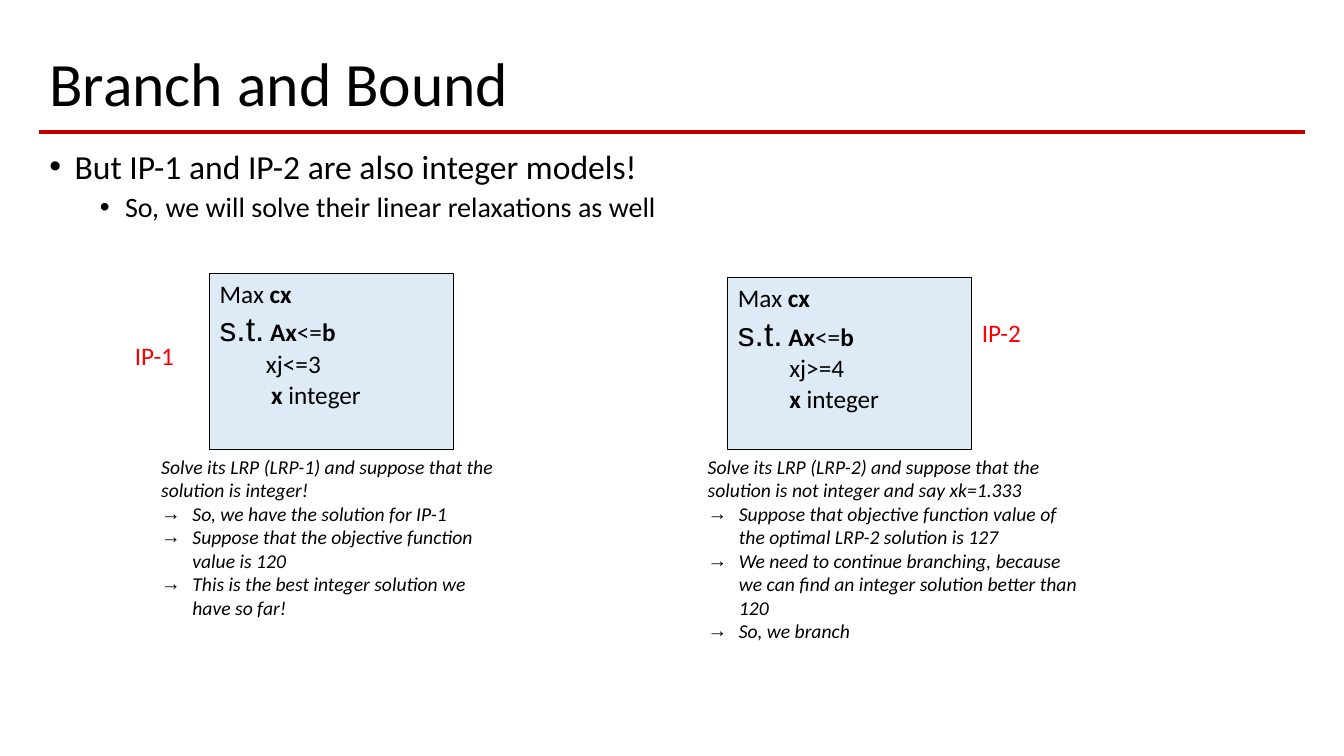
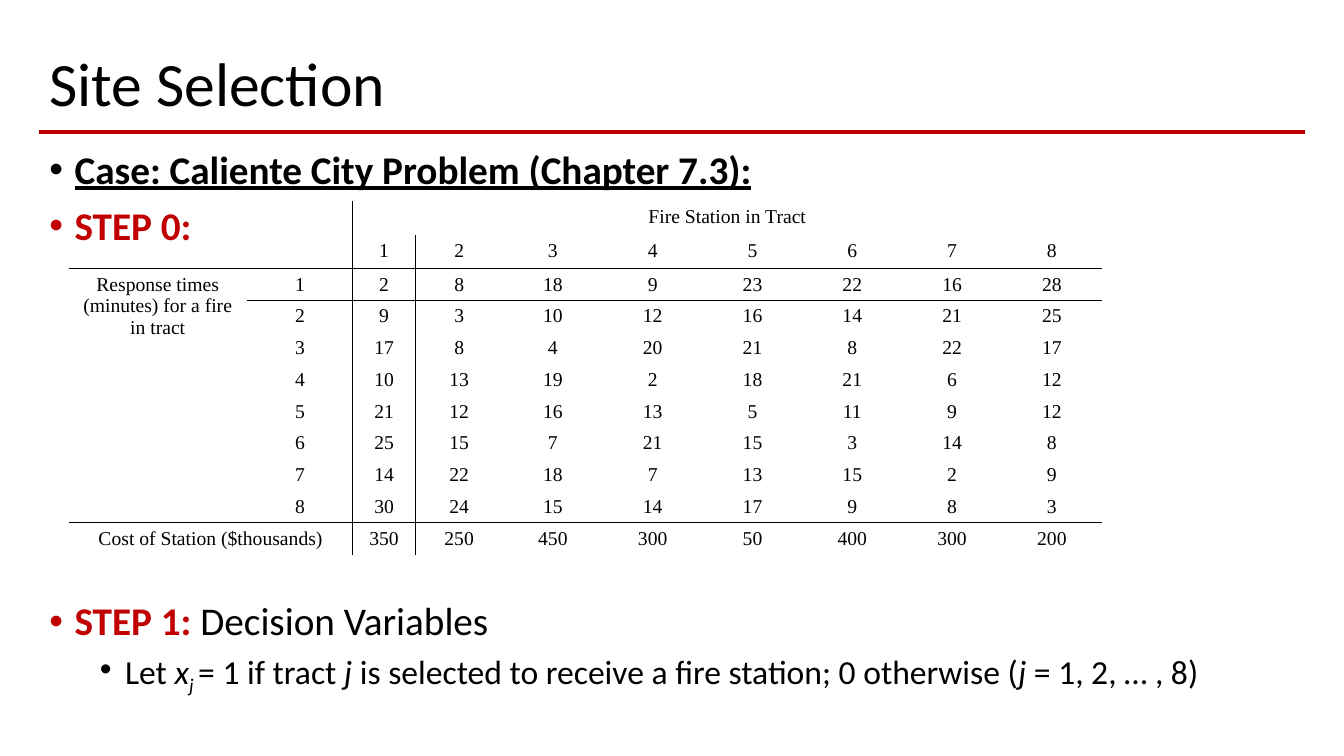
import pptx
import pptx.dml.color
import pptx.enum.shapes
import pptx.enum.text
import pptx.oxml.ns
import pptx.util
from lxml import etree

Inches = pptx.util.Inches
RGBColor = pptx.dml.color.RGBColor
Anchor = pptx.enum.text.MSO_ANCHOR
AutoSize = pptx.enum.text.MSO_AUTO_SIZE
Align = pptx.enum.text.PP_ALIGN
qn = pptx.oxml.ns.qn

BLACK = RGBColor(0x00, 0x00, 0x00)
DARK_RED = RGBColor(0xC0, 0x00, 0x00)
LABEL_RED = RGBColor(0xFF, 0x00, 0x00)
PALE_BLUE = RGBColor(0xDE, 0xEB, 0xF7)
NO_GRID_STYLE = "{2D5ABB26-0587-4C30-8999-92F81FD0307C}"

MARGIN, CONTENT_WIDTH = 0.39, 12.55
STEP_STYLE = {"bold": True, "color": DARK_RED}
ITALIC = {"italic": True}
BOLD = {"bold": True}

COLUMN_WIDTHS = [1.77, 1.05, 0.62, 0.87] + [0.99] * 6
ROW_HEIGHT = 0.3
RESPONSE_TIMES = [
    [2, 8, 18, 9, 23, 22, 16, 28],
    [9, 3, 10, 12, 16, 14, 21, 25],
    [17, 8, 4, 20, 21, 8, 22, 17],
    [10, 13, 19, 2, 18, 21, 6, 12],
    [21, 12, 16, 13, 5, 11, 9, 12],
    [25, 15, 7, 21, 15, 3, 14, 8],
    [14, 22, 18, 7, 13, 15, 2, 9],
    [30, 24, 15, 14, 17, 9, 8, 3],
]
STATION_COSTS = [350, 250, 450, 300, 50, 400, 300, 200]


# Text
def add_run(para, text, size=18, font="Calibri", color=BLACK, bold=False,
            italic=False, underline=False, baseline=0):
    run = para.add_run()
    run.text = text
    run.font.size = pptx.util.Pt(size)
    run.font.name = font
    run.font.color.rgb = color
    run.font.bold = bold
    run.font.italic = italic
    run.font.underline = underline
    if baseline:
        run.font._element.set("baseline", str(baseline * 1000))


def add_text(frame, spans, bullet=None, indent=0, hanging=0, tab=None, level=0,
             line_spacing=None, before=0, align=Align.LEFT, **style):
    """Add a paragraph; spans is a string or a list of strings and (string, style) pairs."""
    is_first = not frame.paragraphs[0].runs
    para = frame.paragraphs[0] if is_first else frame.add_paragraph()
    properties = para._p.get_or_add_pPr()
    properties.set("marL", str(Inches(indent)))
    properties.set("indent", str(-Inches(hanging)))
    if bullet:
        etree.SubElement(properties, qn("a:buFont"), typeface="Arial")
        etree.SubElement(properties, qn("a:buChar"), char=bullet)
    else:
        etree.SubElement(properties, qn("a:buNone"))
    if tab:
        tabs = etree.SubElement(properties, qn("a:tabLst"))
        etree.SubElement(tabs, qn("a:tab"), pos=str(Inches(tab)), algn="l")
    para.level = level
    para.alignment = align
    para.space_before = pptx.util.Pt(0 if is_first else before)
    if line_spacing:
        para.line_spacing = line_spacing
    for span in [spans] if isinstance(spans, str) else spans:
        text, own_style = (span, {}) if isinstance(span, str) else span
        add_run(para, text, **{**style, **own_style})


def add_bullet(frame, spans, level=0, before=None, **style):
    if before is None:
        before = 5 if level else 10
    add_text(frame, spans, bullet="•", indent=0.25 + 0.5 * level, hanging=0.25,
             level=level, line_spacing=0.9, before=before, **style)


# Shared slide parts
def place(shape, left, top, width, height):
    shape.left, shape.top = Inches(left), Inches(top)
    shape.width, shape.height = Inches(width), Inches(height)


def add_page(deck, title, body_height):
    """Add a page with its title and red rule; return the page and its body frame."""
    page = deck.slides.add_slide(deck.slide_layouts[1])
    heading, body = page.placeholders
    place(heading, MARGIN, 0.4, CONTENT_WIDTH, 0.92)
    place(body, MARGIN, 1.44, CONTENT_WIDTH, body_height)
    for shape, anchor in ((heading, Anchor.MIDDLE), (body, Anchor.TOP)):
        shape.text_frame.vertical_anchor = anchor
        shape.text_frame.auto_size = AutoSize.NONE
    add_text(heading.text_frame, title, size=44, line_spacing=0.9)

    rule = page.shapes.add_connector(
        pptx.enum.shapes.MSO_CONNECTOR.STRAIGHT, Inches(MARGIN), Inches(1.31),
        Inches(MARGIN + CONTENT_WIDTH), Inches(1.31))
    rule.line.color.rgb = DARK_RED
    rule.line.width = pptx.util.Pt(2.25)
    etree.SubElement(rule._element.spPr, qn("a:effectLst"))
    return page, body.text_frame


def add_text_box(page, left, top, width, height):
    box = page.shapes.add_textbox(Inches(left), Inches(top), Inches(width), Inches(height))
    box.text_frame.word_wrap = True
    box.text_frame.auto_size = AutoSize.SHAPE_TO_FIT_TEXT
    return box.text_frame


# Branch models
def add_model(page, left, top, height, branch, branch_indent):
    box = page.shapes.add_shape(
        pptx.enum.shapes.MSO_SHAPE.RECTANGLE,
        Inches(left), Inches(top), Inches(2.42), Inches(height))
    box.shadow.inherit = False
    box.fill.solid()
    box.fill.fore_color.rgb = PALE_BLUE
    box.line.color.rgb = BLACK
    box.line.width = pptx.util.Pt(0.75)
    frame = box.text_frame
    frame.vertical_anchor = Anchor.TOP
    add_text(frame, ["Max ", ("cx", BOLD)])
    add_text(frame, [("s.t.\t", {"size": 24, "font": "Arial"}),
                     ("Ax", BOLD), "<=", ("b", BOLD)], tab=0.72)
    add_text(frame, branch, indent=branch_indent)
    add_text(frame, [("x", BOLD), " integer"], indent=0.51)


def add_findings(page, left, width, height, intro, findings):
    frame = add_text_box(page, left, 4.46, width, height)
    add_text(frame, intro, size=14, italic=True)
    for finding in findings:
        add_text(frame, finding, bullet="→", indent=0.31, hanging=0.31,
                 size=14, italic=True)


# Table
def add_borders(cell, sides):
    """Draw the sides, named in the order L, R, T, B, ahead of the cell's fill."""
    properties = cell._tc.get_or_add_tcPr()
    for position, side in enumerate(sides):
        line = etree.Element(qn("a:ln" + side), w=str(pptx.util.Pt(1)))
        fill = etree.SubElement(line, qn("a:solidFill"))
        etree.SubElement(fill, qn("a:srgbClr"), val=str(BLACK))
        properties.insert(position, line)


def add_station_table(page):
    tracts = list(range(1, len(STATION_COSTS) + 1))
    rows = [["", "", "Fire Station in Tract"] + [""] * 7, ["", ""] + tracts]
    rows += [["", tract] + times for tract, times in zip(tracts, RESPONSE_TIMES)]
    rows[2][0] = "Response times (minutes) for a fire in tract"
    rows.append(["Cost of Station ($thousands)", ""] + STATION_COSTS)

    table = page.shapes.add_table(
        len(rows), len(COLUMN_WIDTHS), Inches(0.68), Inches(1.99),
        Inches(sum(COLUMN_WIDTHS)), Inches(ROW_HEIGHT * len(rows))).table
    table.first_row = table.horz_banding = False
    table._tbl.tblPr.find(qn("a:tableStyleId")).text = NO_GRID_STYLE
    for column, width in zip(table.columns, COLUMN_WIDTHS):
        column.width = Inches(width)
    for row in table.rows:
        row.height = Inches(ROW_HEIGHT)

    last = len(rows) - 1
    for row_index, values in enumerate(rows):
        for column_index, value in enumerate(values):
            cell = table.cell(row_index, column_index)
            cell.fill.background()
            sides = [side for side, wanted in (
                ("L", column_index == 2), ("R", column_index == 1),
                ("T", row_index in (2, last)), ("B", row_index in (1, last - 1))) if wanted]
            add_borders(cell, sides)
            if value == "":
                etree.SubElement(cell.text_frame.paragraphs[0]._p,
                                 qn("a:endParaRPr"), sz="1400")
            else:
                add_text(cell.text_frame, str(value), align=Align.CENTER,
                         size=14, font="Times New Roman")

    table.cell(0, 2).merge(table.cell(0, 9))
    table.cell(2, 0).merge(table.cell(last - 1, 0))
    table.cell(last, 0).merge(table.cell(last, 1))


# Pages
def build_branch_page(deck):
    page, body = add_page(deck, "Branch and Bound", 5.32)
    add_bullet(body, "But IP-1 and IP-2 are also integer models!", size=24)
    add_bullet(body, "So, we will solve their linear relaxations as well", level=1, size=20)

    add_model(page, 2.08, 2.71, 1.75, "xj<=3", 0.46)
    add_model(page, 7.22, 2.75, 1.71, "xj>=4", 0.51)
    for label, left, top in (("IP-1", 1.24, 3.33), ("IP-2", 9.64, 3.1)):
        add_text(add_text_box(page, left, top, 1.17, 0.4), label, color=LABEL_RED)

    add_findings(page, 1.5, 3.58, 1.75,
                 "Solve its LRP (LRP-1) and suppose that the solution is integer!",
                 ["So, we have the solution for IP-1",
                  "Suppose that the objective function value is 120",
                  "This is the best integer solution we have so far!"])
    add_findings(page, 6.92, 3.89, 1.99,
                 "Solve its LRP (LRP-2) and suppose that the solution is not integer "
                 "and say xk=1.333",
                 ["Suppose that objective function value of the optimal LRP-2 solution is 127",
                  "We need to continue branching, because we can find an integer solution "
                  "better than 120",
                  "So, we branch"])


def build_site_page(deck):
    page, body = add_page(deck, "Site Selection", 5.78)
    add_bullet(body, "Case: Caliente City Problem (Chapter 7.3):",
               size=28, bold=True, underline=True)
    add_bullet(body, "STEP 0:", size=28, **STEP_STYLE)
    # The space before this step leaves room for the table
    add_bullet(body, [("STEP 1: ", STEP_STYLE), "Decision Variables"], before=252, size=28)
    add_bullet(body, ["Let ", ("x", ITALIC), ("j ", {"italic": True, "baseline": -25}),
                      "= 1 if tract ", ("j", ITALIC),
                      " is selected to receive a fire station; 0 otherwise (",
                      ("j", ITALIC), " = 1, 2, … , 8)"], level=1, size=24)
    add_station_table(page)


def main():
    deck = pptx.Presentation()
    deck.slide_width, deck.slide_height = Inches(13.33), Inches(7.5)
    build_branch_page(deck)
    build_site_page(deck)
    deck.save("out.pptx")


if __name__ == "__main__":
    main()
